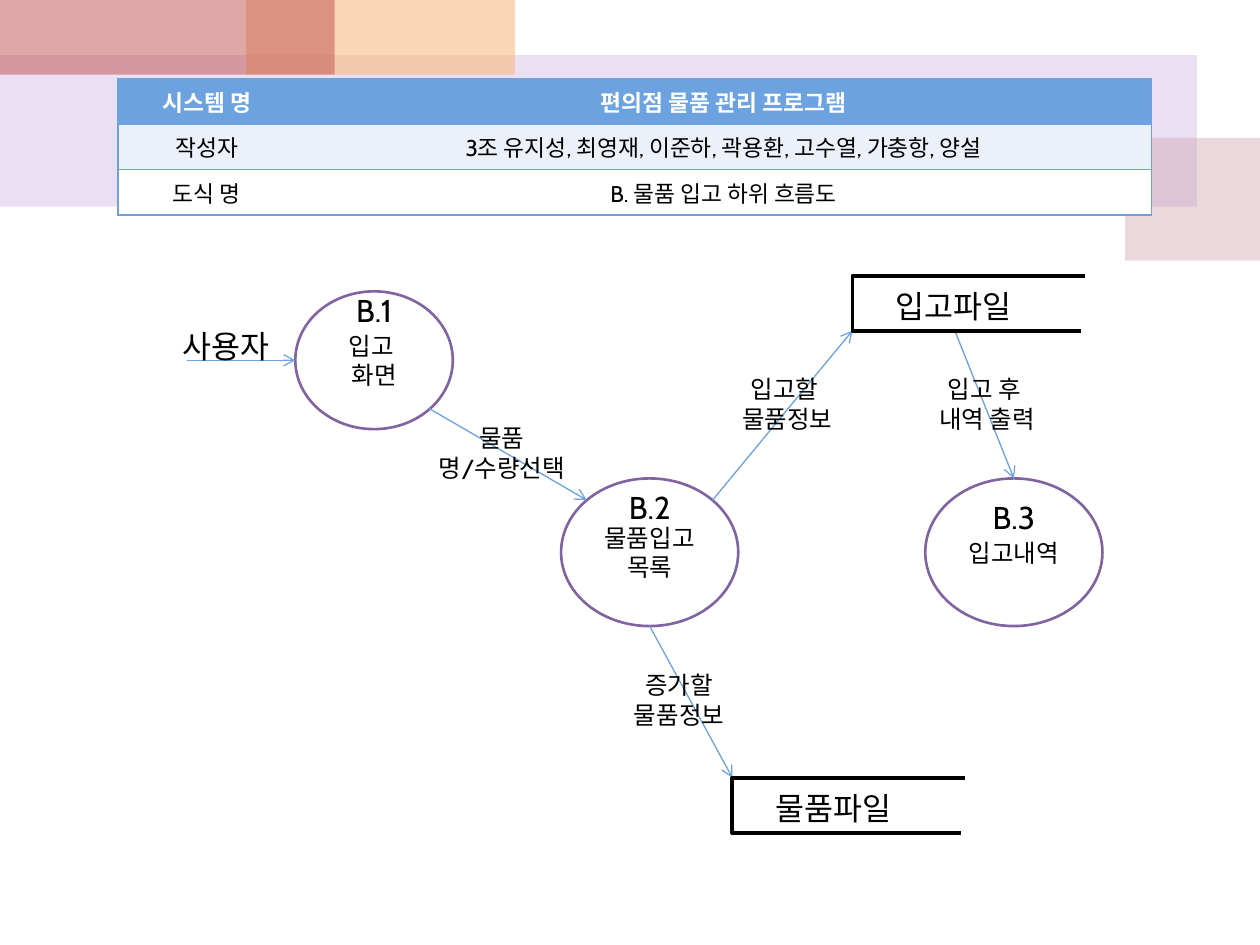
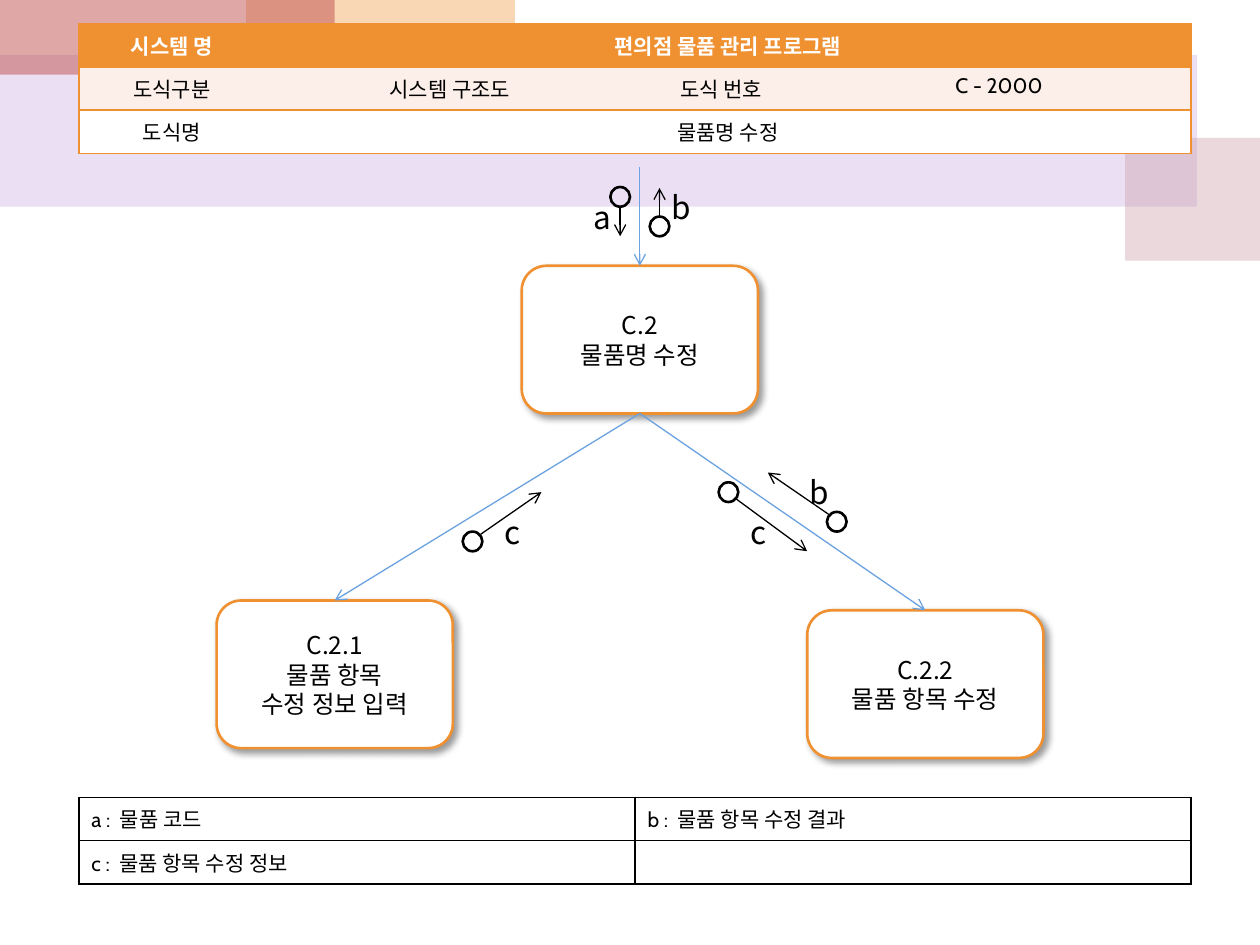
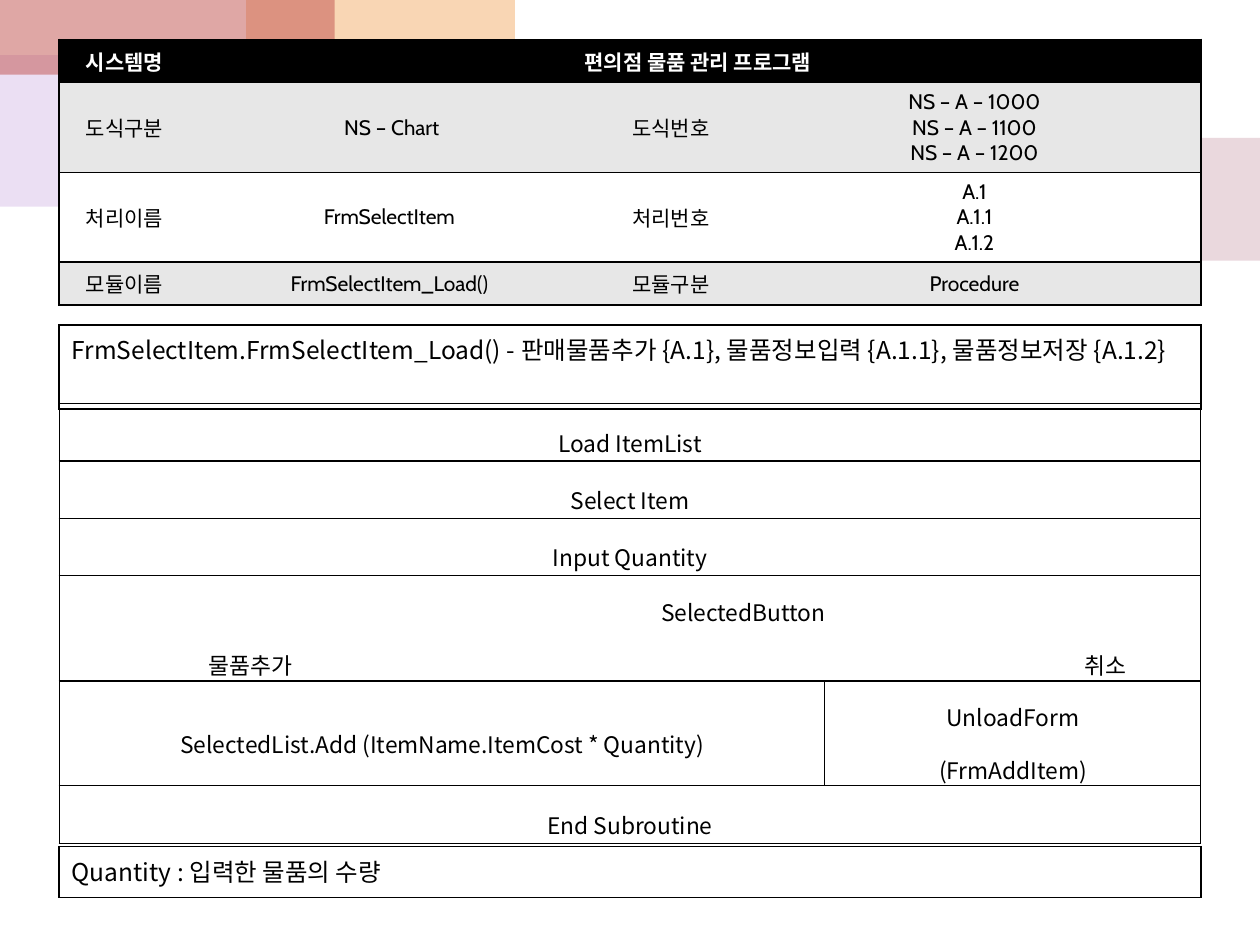
import pptx
import pptx.dml.color
import pptx.enum.dml
import pptx.enum.shapes
import pptx.enum.text
import pptx.oxml.ns
import pptx.util
from lxml import etree

RGBColor = pptx.dml.color.RGBColor
BLACK = RGBColor(0x00, 0x00, 0x00)
WHITE = RGBColor(0xFF, 0xFF, 0xFF)
BLUE = RGBColor(0x6B, 0xA2, 0xDF)
PALE_BLUE = RGBColor(0xEB, 0xF0, 0xF9)
ORANGE = RGBColor(0xEF, 0x90, 0x31)
PALE_ORANGE = RGBColor(0xFC, 0xEE, 0xE8)
GREY = RGBColor(0xE7, 0xE7, 0xE7)
PURPLE = RGBColor(0x80, 0x64, 0xA2)
LILAC = RGBColor(0xBF, 0x98, 0xD8)
ROSE = RGBColor(0xCC, 0x9E, 0xAC)
PEACH = RGBColor(0xF5, 0xBC, 0x83)
RED = RGBColor(0xC0, 0x50, 0x4D)

LATIN = "Cabin"
KOREAN = "Noto Sans CJK KR"
GRID_COLUMNS, GRID_ROWS = 64, 48
SHAPES = pptx.enum.shapes.MSO_SHAPE
CENTER = pptx.enum.text.PP_ALIGN.CENTER
LEFT = pptx.enum.text.PP_ALIGN.LEFT
RIGHT = pptx.enum.text.PP_ALIGN.RIGHT
TOP = pptx.enum.text.MSO_ANCHOR.TOP
MIDDLE = pptx.enum.text.MSO_ANCHOR.MIDDLE

BANDS = [
    (LILAC, 30, (0, 2.8, 60.8, 7.7)),
    (ROSE, 40, (57.15, 7, 6.85, 6.25)),
    (PEACH, 60, (12.5, 0, 13.65, 3.8)),
    (RED, 50, (0, 0, 17, 3.8)),
]


def apply_format(target, values):
    for name, value in values.items():
        setattr(target, name, value)


def add_element(parent, tag, **attributes):
    element = etree.SubElement(parent, pptx.oxml.ns.qn(f"a:{tag}"))
    for name, value in attributes.items():
        element.set(name, str(value))
    return element


class Deck:
    def __init__(self):
        self.presentation = pptx.Presentation()
        apply_format(self.presentation, {
            "slide_width": pptx.util.Inches(10),
            "slide_height": pptx.util.Inches(7.5),
        })
        self.slide = None

    def x(self, columns):
        return round(self.presentation.slide_width * columns / GRID_COLUMNS)

    def y(self, rows):
        return round(self.presentation.slide_height * rows / GRID_ROWS)

    def box(self, column, row, width, height):
        return self.x(column), self.y(row), self.x(width), self.y(height)

    def new_slide(self):
        self.slide = self.presentation.slides.add_slide(self.presentation.slide_layouts[6])
        for color, opacity, place in BANDS:
            band = self.shape(SHAPES.RECTANGLE, place, fill=color)
            color_element = band._element.spPr.find(
                f"{pptx.oxml.ns.qn('a:solidFill')}/{pptx.oxml.ns.qn('a:srgbClr')}")
            add_element(color_element, "alpha", val=opacity * 1000)

    def fill_text(self, frame, text, size, font=LATIN, color=BLACK, bold=False,
                  align=CENTER, spacing=None):
        frame.text = text
        for paragraph in frame.paragraphs:
            apply_format(paragraph, {"alignment": align, "line_spacing": spacing})
            if not paragraph.runs:
                paragraph._p.get_or_add_endParaRPr().set("sz", str(size * 100))
            for run in paragraph.runs:
                apply_format(run.font, {"size": pptx.util.Pt(size), "bold": bold, "name": font})
                run.font.color.rgb = color
                add_element(run.font._rPr, "ea", typeface=KOREAN)

    def style_line(self, line, color, width):
        line.color.rgb = color
        line.width = pptx.util.Pt(width)

    def shape(self, kind, place, fill=None, line=None, text="", font=LATIN, shadow=False):
        shape = self.slide.shapes.add_shape(kind, *self.box(*place))
        shape.shadow.inherit = False
        if fill is None:
            shape.fill.background()
        else:
            shape.fill.solid()
            shape.fill.fore_color.rgb = fill
        if line is None:
            shape.line.fill.background()
        else:
            self.style_line(shape.line, line, 1.5)
        if shadow:
            effects = shape._element.spPr.find(pptx.oxml.ns.qn("a:effectLst"))
            outer = add_element(effects, "outerShdw", blurRad=int(pptx.util.Pt(4)),
                                dist=int(pptx.util.Pt(3)), dir=45 * 60000,
                                algn="tl", rotWithShape=0)
            add_element(add_element(outer, "srgbClr", val=BLACK), "alpha", val=40000)
        if text:
            apply_format(shape.text_frame, {"word_wrap": True, "vertical_anchor": MIDDLE})
            self.fill_text(shape.text_frame, text, 14, font)
        return shape

    def label(self, text, column, row, width=9, height=2.5, size=14, font=LATIN):
        frame = self.slide.shapes.add_textbox(*self.box(column, row, width, height)).text_frame
        apply_format(frame, {"word_wrap": True, "vertical_anchor": MIDDLE})
        self.fill_text(frame, text, size, font)

    def arrow(self, start, end, color=BLUE):
        connector = self.slide.shapes.add_connector(
            pptx.enum.shapes.MSO_CONNECTOR.STRAIGHT,
            self.x(start[0]), self.y(start[1]), self.x(end[0]), self.y(end[1]))
        self.style_line(connector.line, color, 0.75)
        add_element(connector.line._get_or_add_ln(), "tailEnd", type="arrow")
        add_element(connector._element.spPr, "effectLst")

    def data_store(self, text, column, row):
        points = [(column + 11.8, row), (column, row),
                  (column, row + 2.8), (column + 11.6, row + 2.8)]
        corners = [(self.x(left), self.y(top)) for left, top in points]
        builder = self.slide.shapes.build_freeform(*corners[0])
        builder.add_line_segments(corners[1:], close=False)
        outline = builder.convert_to_shape()
        outline.shadow.inherit = False
        outline.fill.background()
        self.style_line(outline.line, BLACK, 2.25)
        self.label(text, column + 0.65, row + 0.3, size=18)

    def border(self, cell, sides, color, width):
        properties = cell._tc.get_or_add_tcPr()
        for side, visible in sides.items():
            line = add_element(properties, f"ln{side}", w=int(pptx.util.Pt(width)))
            if visible:
                add_element(add_element(line, "solidFill"), "srgbClr", val=color)
            else:
                add_element(line, "noFill")

    def table(self, column, row, widths, heights, rows, size, font=LATIN, fills=None,
              line=BLACK, line_width=1, gridded=True, joined=(), align=CENTER,
              aligned=None, anchor=TOP, margin=None, spacing=None):
        table = self.slide.shapes.add_table(
            len(rows), len(widths), *self.box(column, row, sum(widths), sum(heights))).table
        apply_format(table, {"first_row": False, "horz_banding": False})
        for table_column, width in zip(table.columns, widths):
            table_column.width = self.x(width)
        for table_row, height in zip(table.rows, heights):
            table_row.height = self.y(height)
        for r, texts in enumerate(rows):
            for c, text in enumerate(texts):
                if text is None:
                    continue
                last = c
                while last + 1 < len(texts) and texts[last + 1] is None:
                    last += 1
                cell = table.cell(r, c)
                if last > c:
                    cell.merge(table.cell(r, last))
                inner = gridded and r not in joined
                self.border(cell, {
                    "L": c == 0 or inner,
                    "R": last == len(widths) - 1 or inner,
                    "T": r not in joined[1:],
                    "B": r not in joined[:-1],
                }, line, line_width)
                cell.vertical_anchor = anchor
                if margin is not None:
                    apply_format(cell, {f"margin_{side}": margin
                                        for side in ("left", "right", "top", "bottom")})
                if fills:
                    cell.fill.solid()
                    cell.fill.fore_color.rgb = fills[r]
                else:
                    cell.fill.background()
                heading = bool(fills) and r == 0
                self.fill_text(cell.text_frame, text, size, font, WHITE if heading else BLACK,
                               heading, (aligned or {}).get((r, c), align), spacing)


def build_flow_slide(deck):
    deck.new_slide()
    deck.table(6, 4, [9, 43.5], [2.31] * 3, [
        ["시스템 명", "편의점 물품 관리 프로그램"],
        ["작성자", "3조 유지성, 최영재, 이준하, 곽용환, 고수열, 가충항, 양설"],
        ["도식 명", "B. 물품 입고 하위 흐름도"],
    ], 13, fills=[BLUE, PALE_BLUE, WHITE], line=BLUE, gridded=False)
    for text, place in [
        ("입고 \n화면", (15, 14.8, 8, 7)),
        ("물품입고\n목록", (28.5, 24.3, 9, 7.5)),
        ("입고내역", (47, 24.3, 9, 7.5)),
    ]:
        deck.shape(SHAPES.OVAL, place, WHITE, PURPLE, text)
    for start, end in [
        ((9.5, 18.3), (15, 18.3)),
        ((21.8, 20.75), (29.8, 25.4)),
        ((36.2, 25.4), (43.3, 16.8)),
        ((48.5, 16.8), (51.5, 24.3)),
        ((33, 31.8), (37.2, 39.5)),
    ]:
        deck.arrow(start, end)
    deck.data_store("입고파일", 43.3, 14)
    deck.data_store("물품파일", 37.2, 39.5)
    deck.label("사용자", 7, 16.3, size=18)
    for text, column, row in [
        ("물품명/수량선택", 21, 21.75),
        ("입고할 \n물품정보", 35.5, 19.25),
        ("입고 후\n 내역 출력", 45.5, 19.25),
        ("증가할\n물품정보", 30, 34.3),
    ]:
        deck.label(text, column, row)
    for text, column, row in [("B.1", 17, 14.5), ("B.2", 31, 24.5), ("B.3", 49.5, 25)]:
        deck.label(text, column, row, width=4, size=18)


def build_structure_slide(deck):
    deck.new_slide()
    deck.table(4, 1.2, [9.45, 18.8, 8.75, 19.5], [2.2] * 3, [
        ["시스템 명", "편의점 물품 관리 프로그램", None, None],
        ["도식구분", "시스템 구조도", "도식 번호", "C - 2000"],
        ["도식명", "물품명 수정", None, None],
    ], 12, fills=[ORANGE, PALE_ORANGE, WHITE], line=ORANGE, gridded=False)
    for text, column, row in [
        ("C.2\n물품명 수정", 26.5, 13.5),
        ("C.2.1\n물품 항목\n수정 정보 입력", 11, 30.5),
        ("C.2.2\n물품 항목 수정", 41, 31),
    ]:
        deck.shape(SHAPES.ROUNDED_RECTANGLE, (column, row, 12, 7.5), WHITE, ORANGE,
                   text, KOREAN, shadow=True)
    for start, end in [
        ((32.5, 21), (17, 30.5)),
        ((32.5, 21), (47, 31)),
        ((32.5, 8.5), (32.5, 13.5)),
    ]:
        deck.arrow(start, end)
    for letter, letter_place, circle, start, end in [
        ("c", (37.5, 26), (36.5, 24.5), (37.4, 25.35), (41, 28)),
        ("b", (40.5, 24), (42, 26), (42.2, 26.2), (39, 24)),
        ("c", (25, 26), (23.5, 27), (24.4, 27.15), (27.5, 25)),
        ("b", (33.5, 9.5), (33, 11), (33.5, 11), (33.5, 9.55)),
        ("a", (29.5, 10), (31, 9.5), (31.5, 10.5), (31.5, 12)),
    ]:
        deck.shape(SHAPES.OVAL, (*circle, 1, 1), line=BLACK)
        deck.arrow(start, end, BLACK)
        deck.label(letter, *letter_place, width=2, height=2, size=18, font=KOREAN)
    deck.table(4, 40.5, [28.25] * 2, [2.2] * 2, [
        ["a :  물품 코드", "b :  물품 항목 수정 결과"],
        ["c :  물품 항목 수정 정보", ""],
    ], 12, align=LEFT)


def build_chart_slide(deck):
    deck.new_slide()
    deck.table(3, 2, [6.65, 20.5, 7.85, 23], [2.2, 4.55, 4.55, 2.2], [
        ["시스템명", " 편의점 물품 관리 프로그램", None, None],
        ["도식구분", "NS – Chart", "도식번호", "NS – A – 1000\nNS – A – 1100\nNS – A – 1200"],
        ["처리이름", "FrmSelectItem ", "처리번호", "A.1\nA.1.1\nA.1.2"],
        ["모듈이름", "FrmSelectItem_Load() ", "모듈구분", "Procedure"],
    ], 12, fills=[BLACK, GREY, WHITE, GREY], gridded=False, anchor=MIDDLE)
    for text, row, height in [
        ("Quantity : 입력한 물품의 수량", 43, 2.6),
        ("FrmSelectItem.FrmSelectItem_Load() - 판매물품추가 {A.1}, "
         "물품정보입력 {A.1.1}, 물품정보저장 {A.1.2}", 16.5, 4.25),
    ]:
        deck.table(3, row, [58], [height], [[text]], 14, KOREAN, align=LEFT)
    deck.table(3, 20.5, [19.45, 19.45, 9.4, 9.7],
               [2.92, 2.92, 2.92, 2.67, 2.67, 5.33, 2.92], [
        ["Load ItemList", None, None, None],
        ["Select Item", None, None, None],
        ["Input Quantity", None, None, None],
        ["", "SelectedButton", "", ""],
        ["물품추가", "", "", "취소"],
        ["SelectedList.Add (ItemName.ItemCost * Quantity)", None,
         "UnloadForm\n(FrmAddItem)", None],
        ["End Subroutine", None, None, None],
    ], 13, KOREAN, line_width=0.75, joined=(3, 4), aligned={(3, 1): RIGHT},
        anchor=MIDDLE, margin=0, spacing=1.6)


def main():
    deck = Deck()
    build_flow_slide(deck)
    build_structure_slide(deck)
    build_chart_slide(deck)
    deck.presentation.save("out.pptx")


if __name__ == "__main__":
    main()
